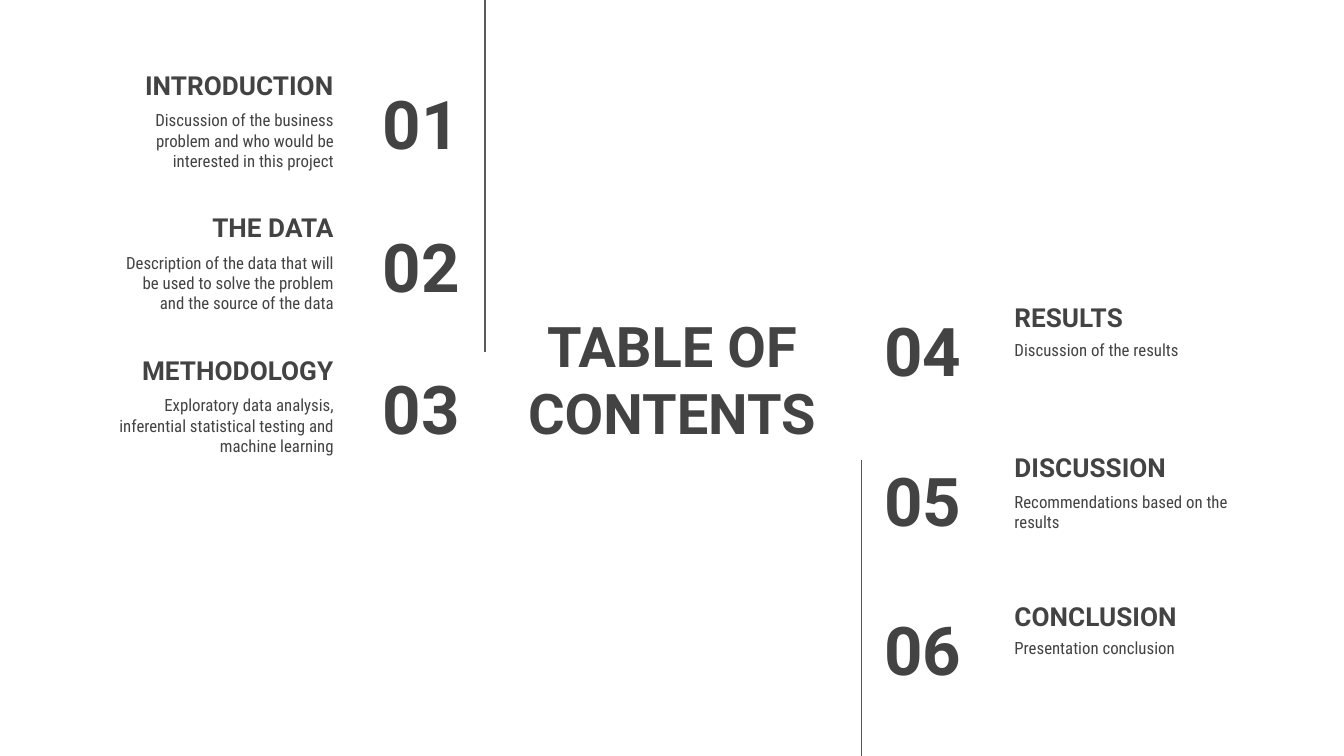
from pptx import Presentation
from pptx.dml.color import RGBColor
from pptx.enum.shapes import MSO_CONNECTOR
from pptx.enum.text import MSO_ANCHOR, PP_ALIGN
from pptx.oxml.ns import qn
from pptx.util import Inches, Pt
from lxml import etree

LEFT, CENTER, RIGHT = PP_ALIGN.LEFT, PP_ALIGN.CENTER, PP_ALIGN.RIGHT
TOP, MIDDLE, BOTTOM = MSO_ANCHOR.TOP, MSO_ANCHOR.MIDDLE, MSO_ANCHOR.BOTTOM
STRAIGHT = MSO_CONNECTOR.STRAIGHT
COLORS = {"background": "FFFFFF", "text": "434343", "rule": "595959"}
HEADING_FONT, DETAIL_FONT = "Roboto", "Roboto Condensed"
SLIDE_WIDTH = 10
SLIDE_HEIGHT = SLIDE_WIDTH * 9 / 16
ENTRY_HEIGHT = 0.63
DETAIL_OFFSET = 0.5

FIRST_HALF = [
    ("INTRODUCTION", "Discussion of the business problem and who would be interested in this project"),
    ("THE DATA", "Description of the data that will be used to solve the problem and the source of the data"),
    ("METHODOLOGY", "Exploratory data analysis, inferential statistical testing and machine learning"),
]
SECOND_HALF = [
    ("RESULTS", "Discussion of the results"),
    ("DISCUSSION", "Recommendations based on the results"),
    ("CONCLUSION", "Presentation conclusion"),
]


class ContentsSlide:
    """Draws the parts of a table of contents in one shared style."""

    def __init__(self, slide):
        self.slide = slide
        fill = slide.background.fill
        fill.solid()
        fill.fore_color.rgb = RGBColor.from_string(COLORS["background"])

    def text(self, wording, left, top, width, height, size, align, anchor,
             font=HEADING_FONT, bold=True):
        frame = self.slide.shapes.add_textbox(
            Inches(left), Inches(top), Inches(width), Inches(height)).text_frame
        frame.word_wrap = True
        frame.vertical_anchor = anchor
        frame.margin_left = frame.margin_right = Inches(0.1)
        frame.margin_top = frame.margin_bottom = Inches(0.1)
        paragraph = frame.paragraphs[0]
        paragraph.alignment = align
        run = paragraph.add_run()
        run.text = wording
        run.font.name = font
        run.font.size = Pt(size)
        run.font.bold = bold
        run.font.color.rgb = RGBColor.from_string(COLORS["text"])

    def rule(self, x, top, bottom):
        rule = self.slide.shapes.add_connector(
            STRAIGHT, Inches(x), Inches(top), Inches(x), Inches(bottom))
        rule.line.color.rgb = RGBColor.from_string(COLORS["rule"])
        rule.line.width = Pt(0.75)
        etree.SubElement(rule.element.spPr, qn("a:effectLst"))

    def column(self, entries, first_number, top, pitch, align, heading_left,
               detail_left, detail_width, number_left, number_width, number_offset):
        for row, (heading, detail) in enumerate(entries):
            y = top + row * pitch
            self.text(heading, heading_left, y, 2.16, ENTRY_HEIGHT, 14, align, BOTTOM)
            self.text(detail, detail_left, y + DETAIL_OFFSET, detail_width, ENTRY_HEIGHT,
                      9, align, TOP, DETAIL_FONT, False)
            self.text(f"{first_number + row:02}", number_left, y + number_offset,
                      number_width, ENTRY_HEIGHT, 36, align, MIDDLE)


def main():
    deck = Presentation()
    deck.slide_width, deck.slide_height = Inches(SLIDE_WIDTH), Inches(SLIDE_HEIGHT)
    contents = ContentsSlide(deck.slides.add_slide(deck.slide_layouts[6]))
    contents.text("TABLE OF CONTENTS", 3.7, 2.3, 2.6, 1.03, 30, CENTER, MIDDLE)
    contents.column(FIRST_HALF, 1, top=0.22, pitch=1.06, align=RIGHT,
                    heading_left=0.42, detail_left=0.77, detail_width=1.81,
                    number_left=2.31, number_width=1.21, number_offset=0.38)
    contents.column(SECOND_HALF, 4, top=1.95, pitch=1.11, align=LEFT,
                    heading_left=7.45, detail_left=7.45, detail_width=1.83,
                    number_left=6.48, number_width=1.17, number_offset=0.34)
    contents.rule(3.61, 0, 2.62)
    contents.rule(6.41, 3.42, SLIDE_HEIGHT)
    deck.save("out.pptx")


if __name__ == "__main__":
    main()
